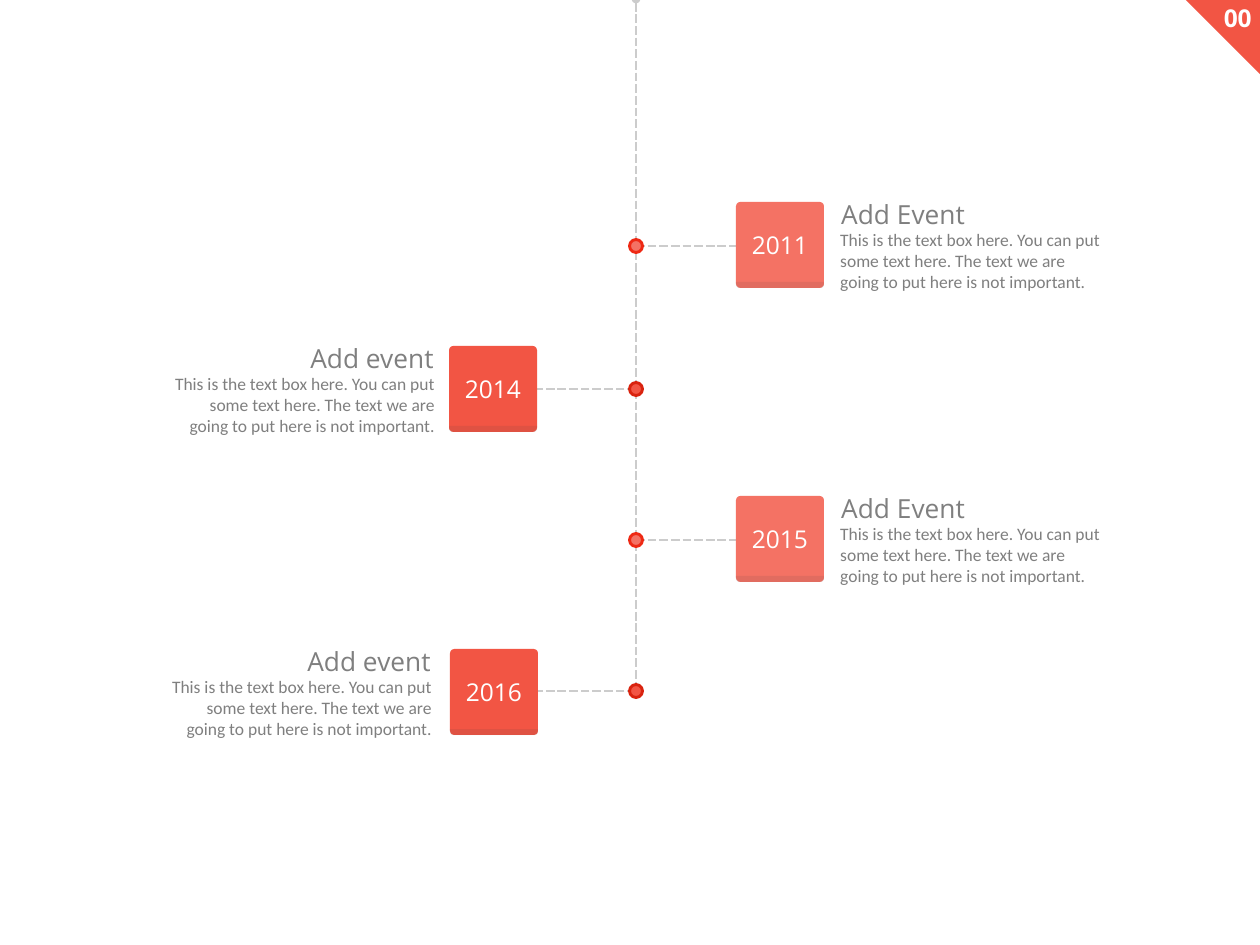
"""Build a vertical timeline slide with dated events on both sides of a dashed spine."""
from dataclasses import dataclass

from lxml import etree
from pptx import Presentation
from pptx.dml.color import RGBColor
from pptx.enum.dml import MSO_LINE
from pptx.enum.shapes import MSO_CONNECTOR, MSO_SHAPE
from pptx.enum.text import MSO_ANCHOR, MSO_AUTO_SIZE, PP_ALIGN
from pptx.oxml.ns import qn
from pptx.shapes.autoshape import Shape
from pptx.slide import Slide
from pptx.util import Emu, Pt

STRAIGHT = MSO_CONNECTOR.STRAIGHT
DASH = MSO_LINE.SQUARE_DOT
TRIANGLE = MSO_SHAPE.ISOSCELES_TRIANGLE
OVAL = MSO_SHAPE.OVAL
ROUNDED = MSO_SHAPE.ROUNDED_RECTANGLE
ROUNDED_PAIR = MSO_SHAPE.ROUND_2_SAME_RECTANGLE
MIDDLE = MSO_ANCHOR.MIDDLE
GROW = MSO_AUTO_SIZE.SHAPE_TO_FIT_TEXT
LEFT, CENTER, RIGHT = PP_ALIGN.LEFT, PP_ALIGN.CENTER, PP_ALIGN.RIGHT

COLORS = {
    "red": "F25544",
    "coral": "F47264",
    "red_ring": "D9230F",
    "coral_ring": "EE2914",
    "dash": "CCCCCC",
    "text": "7F7F7F",
    "shade": "404040",
    "white": "FFFFFF",
}
HEADING_FONT, BODY_FONT = "Open Sans", "Calibri"
DESCRIPTION = (
    "This is the text box here. You can put some text here. "
    "The text we are going to put here is not important."
)

SLIDE_W, SLIDE_H = 1260, 945
SPINE_X = 636
DOT = 13
CARD_W, CARD_H, SHADE_H = 88, 86, 6
HEADING_W, HEADING_H = 142, 40
DESCRIPTION_W, DESCRIPTION_H = 277, 72
CORNER = 75


@dataclass(frozen=True)
class Event:
    year: str
    heading: str
    on_right: bool
    card_x: int
    card_y: int
    text_edge: int
    dot_y: int


EVENTS = (
    Event("2011", "Add Event", True, 736, 202, 832, 246),
    Event("2014", "Add event", False, 449, 346, 443, 389),
    Event("2015", "Add Event", True, 736, 496, 832, 540),
    Event("2016", "Add event", False, 450, 649, 440, 691),
)
SPINE_SPANS = ((-1, 246), (240, 390), (390, 538), (542, 690))


def px(length: float) -> Emu:
    """Turn slide pixels into EMU."""
    return Emu(round(length * 914400 / 84))


def color(name: str) -> RGBColor:
    """Look up a named colour."""
    return RGBColor.from_string(COLORS[name])


def add_dashes(slide: Slide, x1: int, y1: int, x2: int, y2: int, oval_ends: bool = False) -> None:
    """Draw a dashed line, optionally with round ends."""
    dashes = slide.shapes.add_connector(STRAIGHT, px(x1), px(y1), px(x2), px(y2))
    dashes.line.color.rgb = color("dash")
    dashes.line.width = Pt(2.5)
    dashes.line.dash_style = DASH
    if oval_ends:
        outline = dashes.line._get_or_add_ln()
        for end in ("a:headEnd", "a:tailEnd"):
            etree.SubElement(outline, qn(end), type="oval")
    etree.SubElement(dashes._element.spPr, qn("a:effectLst"))


def add_filled(slide: Slide, kind: int, x: float, y: float, w: int, h: int, fill: str) -> Shape:
    """Draw a flat preset shape without outline or shadow."""
    shape = slide.shapes.add_shape(kind, px(x), px(y), px(w), px(h))
    shape.shadow.inherit = False
    shape.fill.solid()
    shape.fill.fore_color.rgb = color(fill)
    shape.line.fill.background()
    return shape


def write(shape: Shape, text: str, size: float, font: str, ink: str, align: int, bold: bool = False) -> None:
    """Set the single paragraph of a shape."""
    paragraph = shape.text_frame.paragraphs[0]
    paragraph.text = text
    paragraph.alignment = align
    paragraph.font.size = Pt(size)
    paragraph.font.name = font
    paragraph.font.bold = bold
    paragraph.font.color.rgb = color(ink)


def add_text_box(slide: Slide, x: int, y: int, w: int, h: int, wrap: bool) -> Shape:
    """Add an empty text box that grows with its text."""
    box = slide.shapes.add_textbox(px(x), px(y), px(w), px(h))
    box.text_frame.word_wrap = wrap
    box.text_frame.auto_size = GROW
    return box


def add_corner(slide: Slide) -> None:
    """Draw the page number in the top right corner."""
    corner = add_filled(slide, TRIANGLE, SLIDE_W - CORNER, -1, CORNER, CORNER, "red")
    corner.adjustments[0] = 0
    corner.rotation = 180
    number = add_text_box(slide, SLIDE_W - 45, -1, 45, 38, False)
    write(number, "00", 21, HEADING_FONT, "white", RIGHT, True)


def add_branch(slide: Slide, event: Event) -> None:
    """Join an event card to its dot on the spine."""
    card_edge = event.card_x if event.on_right else event.card_x + CARD_W
    tone = "coral" if event.on_right else "red"
    add_dashes(slide, SPINE_X, event.dot_y, card_edge, event.dot_y)
    dot = add_filled(slide, OVAL, SPINE_X - DOT / 2, event.dot_y - DOT / 2, DOT, DOT, tone)
    dot.line.color.rgb = color(f"{tone}_ring")
    dot.line.width = Pt(2.5)


def add_event(slide: Slide, event: Event) -> None:
    """Draw the heading, description and year card of an event."""
    align = LEFT if event.on_right else RIGHT
    heading_x = event.text_edge + 1 if event.on_right else event.text_edge - 1 - HEADING_W
    description_x = event.text_edge if event.on_right else event.text_edge - DESCRIPTION_W

    heading = add_text_box(slide, heading_x, event.card_y - 8, HEADING_W, HEADING_H, False)
    write(heading, event.heading, 22.5, HEADING_FONT, "text", align)
    description = add_text_box(
        slide, description_x, event.card_y + 23, DESCRIPTION_W, DESCRIPTION_H, True
    )
    write(description, DESCRIPTION, 15, BODY_FONT, "text", align)

    tone = "coral" if event.on_right else "red"
    card = add_filled(slide, ROUNDED, event.card_x, event.card_y, CARD_W, CARD_H, tone)
    card.adjustments[0] = 0.05
    card.text_frame.vertical_anchor = MIDDLE
    write(card, event.year, 21, HEADING_FONT, "white", CENTER)

    shade_y = event.card_y + CARD_H - SHADE_H
    shade = add_filled(slide, ROUNDED_PAIR, event.card_x, shade_y, CARD_W, SHADE_H, "shade")
    shade.adjustments[0] = 0
    shade.adjustments[1] = 0.5
    tint = shade._element.spPr.find(qn("a:solidFill")).find(qn("a:srgbClr"))
    etree.SubElement(tint, qn("a:alpha"), val="10000")


def main() -> None:
    """Assemble and save the slide."""
    deck = Presentation()
    deck.slide_width, deck.slide_height = px(SLIDE_W), px(SLIDE_H)
    slide = deck.slides.add_slide(deck.slide_layouts[6])
    add_corner(slide)
    for index, (top, bottom) in enumerate(SPINE_SPANS):
        add_dashes(slide, SPINE_X, top, SPINE_X, bottom, oval_ends=index == 0)
    for event in EVENTS:
        add_branch(slide, event)
        add_event(slide, event)
    deck.save("out.pptx")


if __name__ == "__main__":
    main()
